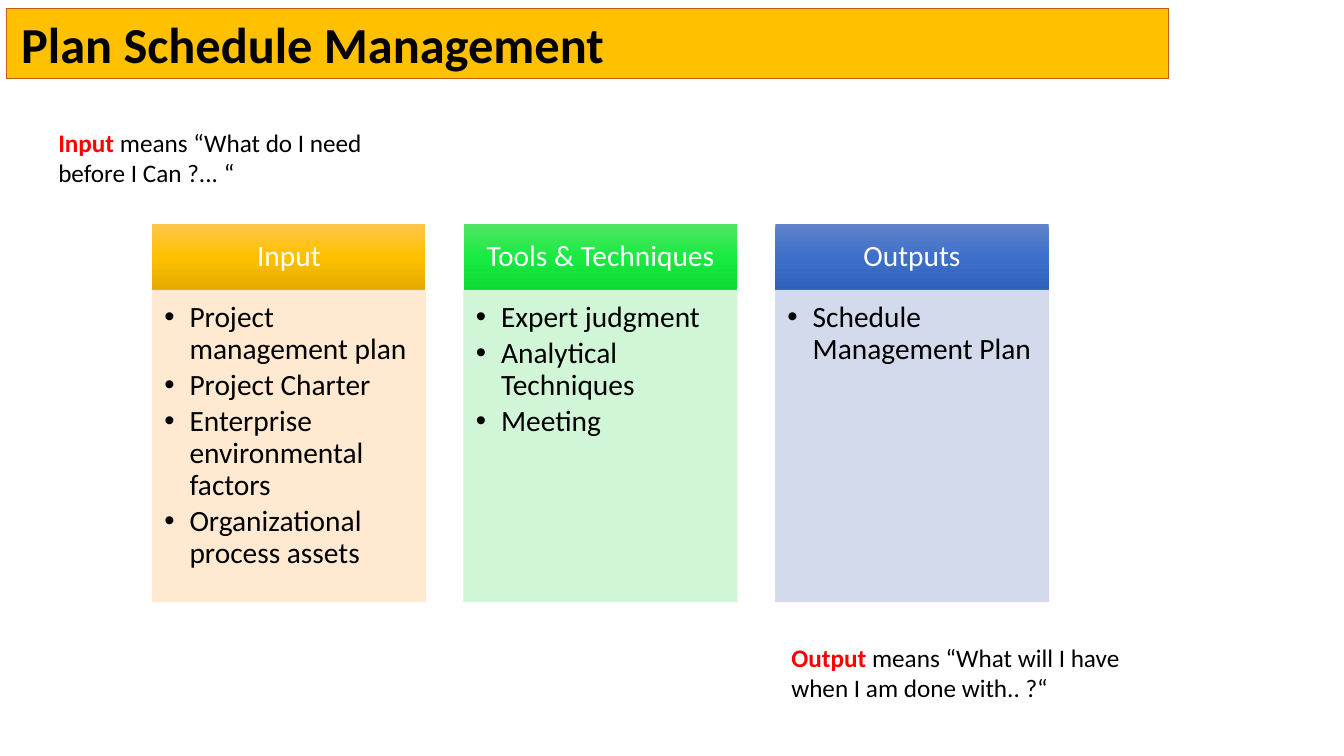
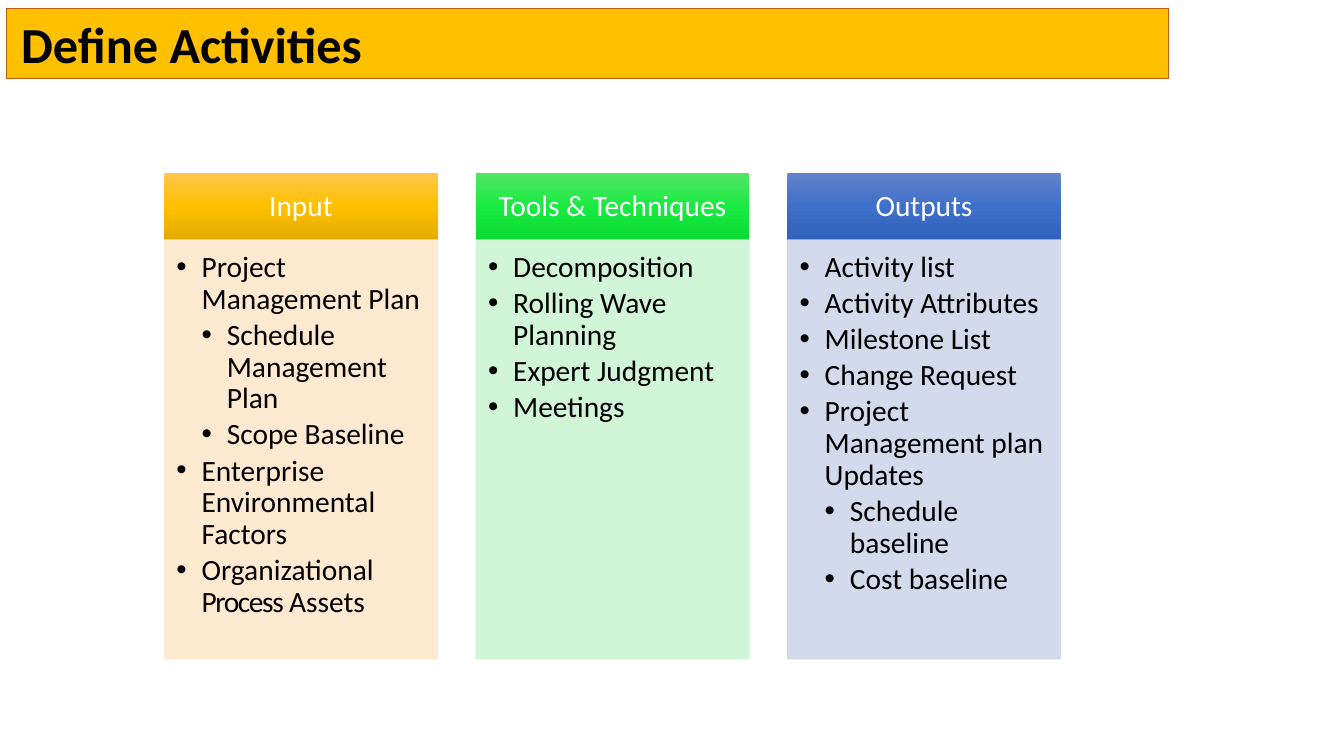
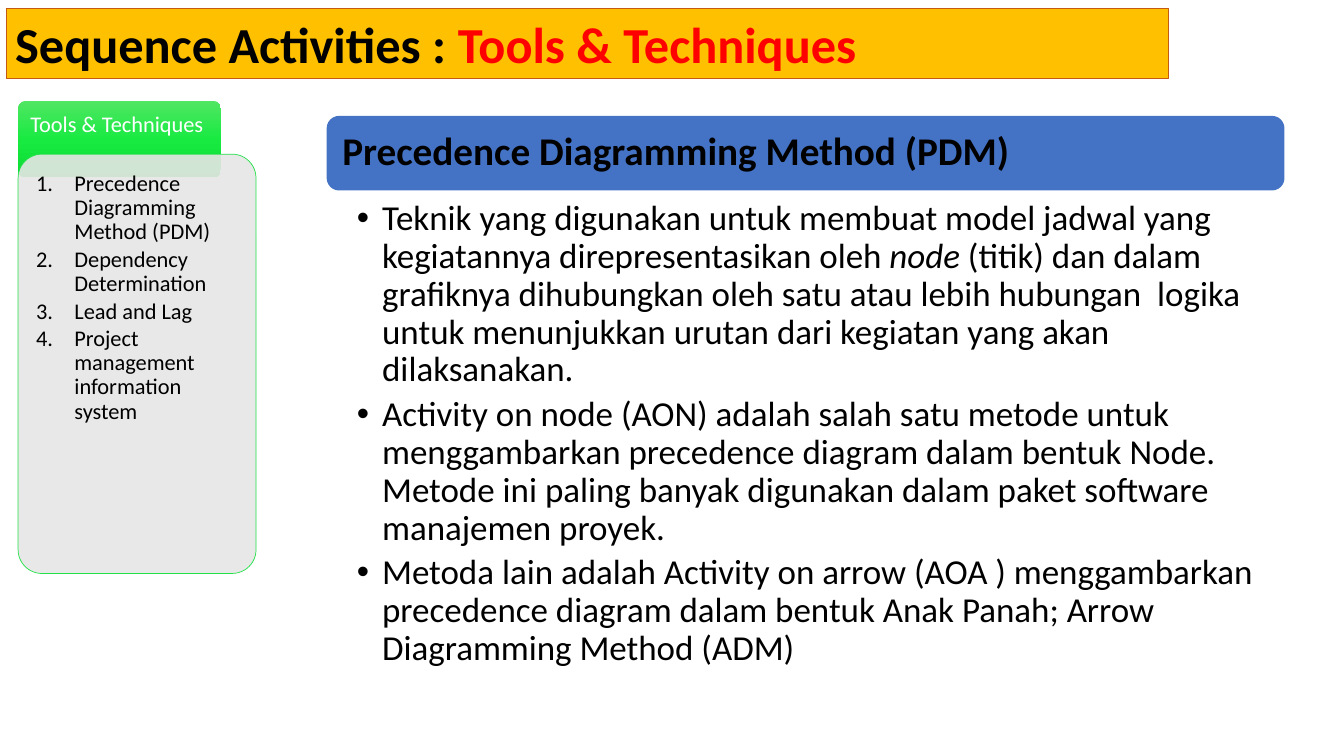
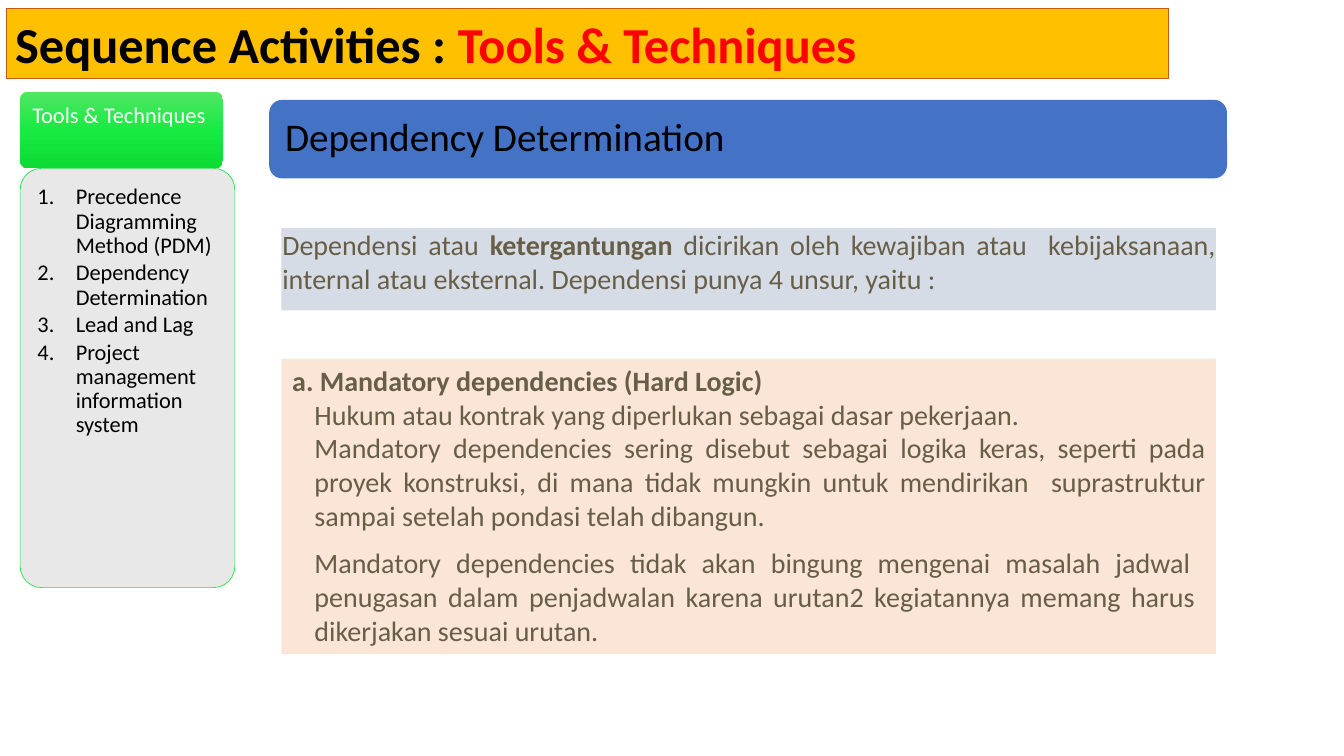
"""Build four slides on schedule management processes."""
from copy import deepcopy

from pptx import Presentation
from pptx.dml.color import RGBColor
from pptx.enum import shapes, text
from pptx.oxml import ns, xmlchemy
from pptx.util import Inches, Pt

FONT = "Calibri"
BLACK = RGBColor(0x00, 0x00, 0x00)
WHITE = RGBColor(0xFF, 0xFF, 0xFF)
RED = RGBColor(0xFF, 0x00, 0x00)
GOLD = RGBColor(0xFF, 0xC0, 0x00)
RUST = RGBColor(0xC5, 0x5A, 0x11)
BLUE = RGBColor(0x44, 0x72, 0xC4)
GREEN = RGBColor(0x23, 0xE1, 0x48)
GREY = RGBColor(0xE7, 0xE6, 0xE6)
OLIVE = RGBColor(0x67, 0x5E, 0x47)
STEEL = RGBColor(0xD6, 0xDC, 0xE5)
PEACH = RGBColor(0xFB, 0xE5, 0xD6)
CREAM = RGBColor(0xFF, 0xE8, 0xCC)
MINT = RGBColor(0xCC, 0xF6, 0xD3)
LAVENDER = RGBColor(0xCF, 0xD6, 0xEA)
GOLD_SHADES = (RGBColor(0xFF, 0xC6, 0x4B), GOLD, RGBColor(0xE3, 0xAB, 0x00))
GREEN_SHADES = (RGBColor(0x51, 0xE6, 0x63), RGBColor(0x19, 0xEA, 0x42), RGBColor(0x0C, 0xDB, 0x34))
BLUE_SHADES = (RGBColor(0x61, 0x83, 0xCB), RGBColor(0x3E, 0x70, 0xCA), RGBColor(0x30, 0x62, 0xBB))

RECT = shapes.MSO_SHAPE.RECTANGLE
ROUNDED = shapes.MSO_SHAPE.ROUNDED_RECTANGLE
LEFT, CENTER, JUSTIFY = text.PP_ALIGN.LEFT, text.PP_ALIGN.CENTER, text.PP_ALIGN.JUSTIFY
TOP, MIDDLE = text.MSO_ANCHOR.TOP, text.MSO_ANCHOR.MIDDLE

COLUMN_STYLES = (
    ("Input", GOLD_SHADES, CREAM),
    ("Tools & Techniques", GREEN_SHADES, MINT),
    ("Outputs", BLUE_SHADES, LAVENDER),
)
COLUMN_WIDTH, COLUMN_PITCH, HEADER_HEIGHT = 2.71, 3.09, 0.66
TECHNIQUES = (
    "Precedence Diagramming Method (PDM)",
    "Dependency Determination",
    "Lead and Lag",
    "Project management information system",
)
SEQUENCE_TITLE = ["Sequence Activities : ", ("Tools & Techniques", {"color": RED})]


def add_bullet(paragraph, kind, left, hang):
    """Give a paragraph a hanging dot or number."""
    props = paragraph._p.get_or_add_pPr()
    props.set("marL", str(Inches(left)))
    props.set("indent", str(-Inches(hang)))
    if kind == "number":
        marker = xmlchemy.OxmlElement("a:buAutoNum")
        marker.set("type", "arabicPeriod")
    else:
        face = xmlchemy.OxmlElement("a:buFont")
        face.set("typeface", "Arial")
        props.append(face)
        marker = xmlchemy.OxmlElement("a:buChar")
        marker.set("char", "•")
    props.append(marker)


def add_text(frame, parts, *, size, color=BLACK, bold=False, align=LEFT, line=1.0,
             before=0, after=0, bullet=None, hang=0.25, level=0, left=0):
    """Add one paragraph made of plain or (text, overrides) parts."""
    paragraph = frame.add_paragraph() if frame.text else frame.paragraphs[0]
    paragraph.alignment = align
    paragraph.level = level
    paragraph.line_spacing = line
    paragraph.space_before = Pt(before)
    paragraph.space_after = Pt(after)
    if bullet:
        add_bullet(paragraph, bullet, hang * (level + 1), hang)
    elif left:
        paragraph._p.get_or_add_pPr().set("marL", str(Inches(left)))
    for part in [parts] if isinstance(parts, str) else parts:
        words, changes = (part, {}) if isinstance(part, str) else part
        run = paragraph.add_run()
        run.text = words
        run.font.name = FONT
        run.font.size = Pt(size)
        run.font.bold = changes.get("bold", bold)
        run.font.italic = changes.get("italic", False)
        run.font.color.rgb = changes.get("color", color)
        if "spacing" in changes:
            run._r.get_or_add_rPr().set("spc", str(changes["spacing"] * 100))


def set_frame(shape, margins=(0.1, 0.05, 0.1, 0.05), anchor=TOP):
    """Set wrapping, anchor and margins, and return the text frame."""
    frame = shape.text_frame
    frame.word_wrap = True
    frame.auto_size = text.MSO_AUTO_SIZE.NONE
    frame.vertical_anchor = anchor
    (frame.margin_left, frame.margin_top,
     frame.margin_right, frame.margin_bottom) = map(Inches, margins)
    return frame


def place(shape, box):
    """Move a placeholder to a box in inches."""
    shape.left, shape.top, shape.width, shape.height = map(Inches, box)


def set_gradient(shape, shades):
    """Fill a shape from top to bottom through three shades."""
    shape.fill.gradient()
    shape.fill.gradient_angle = 270
    stops = shape._element.spPr.find(".//" + ns.qn("a:gsLst"))
    stops.append(deepcopy(stops[-1]))
    for stop, position, shade in zip(shape.fill.gradient_stops, (0, 0.5, 1), shades):
        stop.position = position
        stop.color.rgb = shade


def add_panel(slide, box, fill, *, kind=RECT, corner=None, outline=None, see_through=False):
    """Add a flat panel with a solid or three-shade fill."""
    panel = slide.shapes.add_shape(kind, *map(Inches, box))
    panel.shadow.inherit = False
    if corner is not None:
        panel.adjustments[0] = corner
    if isinstance(fill, RGBColor):
        panel.fill.solid()
        panel.fill.fore_color.rgb = fill
    else:
        set_gradient(panel, fill)
    if outline is None:
        panel.line.fill.background()
    else:
        panel.line.color.rgb = outline
        panel.line.width = Pt(0.5)
    if see_through:
        for color in panel._element.spPr.iter(ns.qn("a:srgbClr")):
            if outline == fill or color.getparent().getparent().tag == ns.qn("p:spPr"):
                alpha = xmlchemy.OxmlElement("a:alpha")
                alpha.set("val", "90000")
                color.append(alpha)
    return panel


def add_slide(deck, layout, title, inset=0.09):
    """Add a slide with the gold title band."""
    slide = deck.slides.add_slide(deck.slide_layouts.get_by_name(layout))
    band = slide.shapes.title
    place(band, (0.06, 0.08, 11.53, 0.7))
    band.fill.solid()
    band.fill.fore_color.rgb = GOLD
    band.line.color.rgb = RUST
    band.line.width = Pt(0.75)
    frame = set_frame(band, (inset, 0.05, 0.09, 0.05), MIDDLE)
    add_text(frame, title, size=36, bold=True)
    return slide


def add_columns(slide, left, top, list_height, lists):
    """Add the input, tools and output columns; each list holds (level, text)."""
    for index, ((heading, shades, tint), items) in enumerate(zip(COLUMN_STYLES, lists)):
        x = left + index * COLUMN_PITCH
        header = add_panel(slide, (x, top, COLUMN_WIDTH, HEADER_HEIGHT), shades)
        frame = set_frame(header, (0.16, 0.09, 0.16, 0.09), MIDDLE)
        add_text(frame, heading, size=21, color=WHITE, align=CENTER, line=0.9)
        body = add_panel(slide, (x, top + HEADER_HEIGHT, COLUMN_WIDTH, list_height), tint,
                         outline=tint, see_through=True)
        frame = set_frame(body, (0.12, 0.12, 0.16, 0.18))
        for level, item in items:
            add_text(frame, item, size=21, line=0.9, after=3.15, bullet="dot", level=level)


def add_note(slide, left, top, term, meaning):
    """Add a short definition that opens with a red term."""
    note = slide.shapes.add_textbox(*map(Inches, (left, top, 3.84, 0.71)))
    add_text(set_frame(note), [(term, {"color": RED, "bold": True}), meaning], size=18)


def add_techniques(slide, left, top, list_top, list_width):
    """Add the green tab and the numbered list of techniques."""
    tab = add_panel(slide, (left, top, 2.01, 0.76), GREEN_SHADES, kind=ROUNDED, corner=0.1)
    frame = set_frame(tab, (0.1, 0.1, 0.1, 0.3))
    add_text(frame, "Tools & Techniques", size=16, color=WHITE, line=0.9)
    card = add_panel(slide, (left, list_top, list_width, 4.16), GREY, kind=ROUNDED,
                     corner=0.1, outline=GREEN, see_through=True)
    frame = set_frame(card, (0.11, 0.11, 0.11, 0.11))
    for technique in TECHNIQUES:
        add_text(frame, technique, size=16, line=0.9, after=2.4, bullet="number", hang=0.38)


def add_topic(slide, box, topic, bold=False):
    """Add the blue topic bar."""
    bar = add_panel(slide, box, BLUE, kind=ROUNDED)
    frame = set_frame(bar, (0.12, 0.12, 0.12, 0.12), MIDDLE)
    add_text(frame, topic, size=28, bold=bold, line=0.9)


def build_plan(deck):
    """Build the slide on planning schedule management."""
    slide = add_slide(deck, "Title Only", "Plan Schedule Management", inset=0.15)
    add_columns(slide, 1.51, 2.22, 3.09, (
        [(0, "Project management plan"), (0, "Project Charter"),
         (0, "Enterprise environmental factors"), (0, "Organizational process assets")],
        [(0, "Expert judgment"), (0, "Analytical Techniques"), (0, "Meeting")],
        [(0, "Schedule Management Plan")],
    ))
    add_note(slide, 0.48, 1.21, "Input", " means “What do I need before I Can ?... “")
    add_note(slide, 7.75, 6.32, "Output ", "means “What will I have when I am done with.. ?“")


def build_define(deck):
    """Build the slide on defining activities."""
    slide = add_slide(deck, "Title Only", "Define Activities", inset=0.15)
    add_columns(slide, 1.63, 1.72, 4.16, (
        [(0, "Project Management Plan"), (1, "Schedule Management Plan"),
         (1, "Scope Baseline"), (0, "Enterprise Environmental Factors"),
         (0, ["Organizational ", ("Process ", {"spacing": -1}), "Assets"])],
        [(0, "Decomposition"), (0, "Rolling Wave Planning"),
         (0, "Expert Judgment"), (0, "Meetings")],
        [(0, "Activity list"), (0, "Activity Attributes"), (0, "Milestone List"),
         (0, "Change Request"), (0, "Project Management plan Updates"),
         (1, "Schedule baseline"), (1, "Cost baseline")],
    ))


def build_diagramming(deck):
    """Build the slide on the precedence diagramming method."""
    slide = add_slide(deck, "Title and Content", SEQUENCE_TITLE)
    add_topic(slide, (3.24, 1.15, 9.5, 0.74), "Precedence Diagramming Method (PDM)", bold=True)
    explanation = slide.placeholders[1]
    place(explanation, (3.24, 1.95, 9.5, 5.36))
    frame = set_frame(explanation, (0.3, 0.04, 0.25, 0.04))
    for point in (
        ["Teknik yang digunakan untuk membuat model jadwal yang kegiatannya "
         "direpresentasikan oleh ", ("node ", {"italic": True}),
         "(titik) dan dalam grafiknya dihubungkan oleh satu atau lebih hubungan  logika "
         "untuk menunjukkan urutan dari kegiatan yang akan dilaksanakan."],
        "Activity on node (AON) adalah salah satu metode untuk menggambarkan precedence "
        "diagram dalam bentuk Node. Metode ini paling banyak digunakan dalam paket software "
        "manajemen proyek.",
        "Metoda lain adalah Activity on arrow (AOA ) menggambarkan precedence diagram dalam "
        "bentuk Anak Panah; Arrow Diagramming Method (ADM)",
    ):
        add_text(frame, point, size=25, line=0.9, after=5, bullet="dot")
    add_techniques(slide, 0.18, 1, 1.53, 2.36)


def build_dependency(deck):
    """Build the slide on dependency determination."""
    slide = add_slide(deck, "Title Only", SEQUENCE_TITLE)
    add_topic(slide, (2.67, 0.99, 9.5, 0.78), "Dependency Determination")
    prose = {"size": 20, "color": OLIVE, "align": JUSTIFY}
    intro = add_panel(slide, (2.79, 2.26, 9.27, 0.82), STEEL)
    add_text(set_frame(intro, (0, 0, 0, 0)), [
        "Dependensi atau ", ("ketergantungan ", {"bold": True}),
        "dicirikan oleh kewajiban atau  kebijaksanaan, internal atau eksternal. "
        "Dependensi punya 4 unsur, yaitu :"], left=0.01, **prose)
    mandatory = add_panel(slide, (2.79, 3.56, 9.27, 2.93), PEACH)
    frame = set_frame(mandatory)
    add_text(frame, "a. Mandatory dependencies (Hard Logic)", bold=True, left=0.01, **prose)
    for gap, sentence in (
        (0, "Hukum atau kontrak yang diperlukan sebagai dasar pekerjaan."),
        (0, "Mandatory dependencies sering disebut sebagai logika keras, seperti pada proyek "
            "konstruksi, di mana tidak mungkin untuk mendirikan  suprastruktur sampai setelah "
            "pondasi telah dibangun."),
        (10, "Mandatory dependencies tidak akan bingung mengenai masalah jadwal  penugasan "
             "dalam penjadwalan karena urutan2 kegiatannya memang harus  dikerjakan sesuai "
             "urutan."),
    ):
        add_text(frame, sentence, before=gap, left=0.23, **prose)
    add_techniques(slide, 0.2, 0.91, 1.67, 2.13)


def main():
    """Build and save the deck."""
    deck = Presentation()
    deck.slide_width, deck.slide_height = Inches(13.33), Inches(7.5)
    for build in (build_plan, build_define, build_diagramming, build_dependency):
        build(deck)
    deck.save("out.pptx")


if __name__ == "__main__":
    main()
